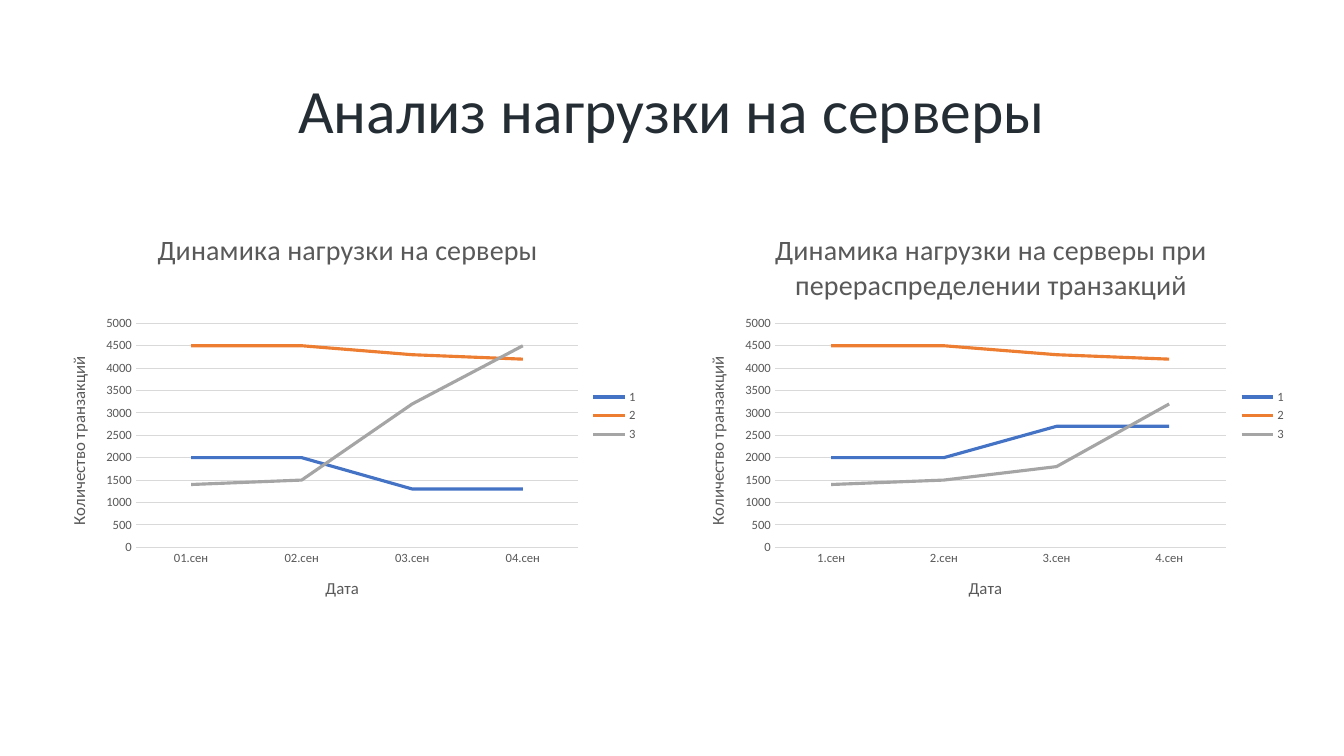
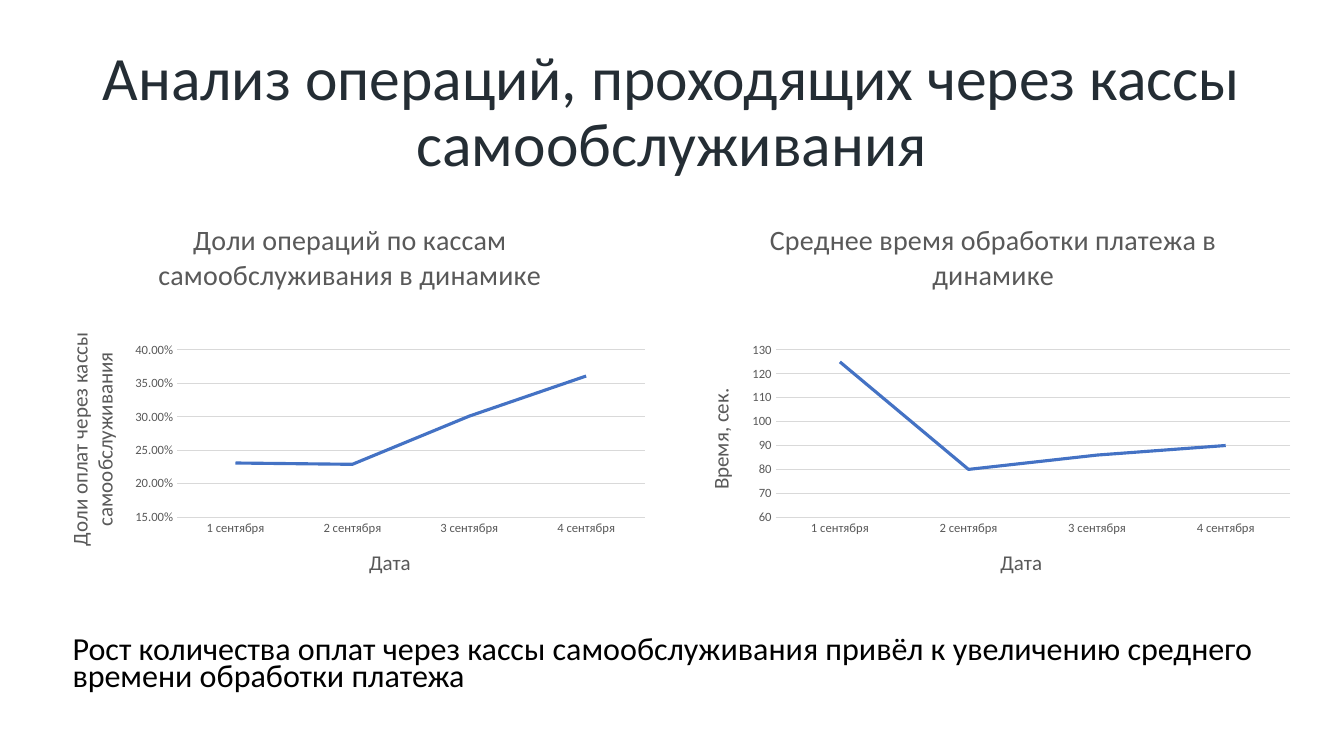
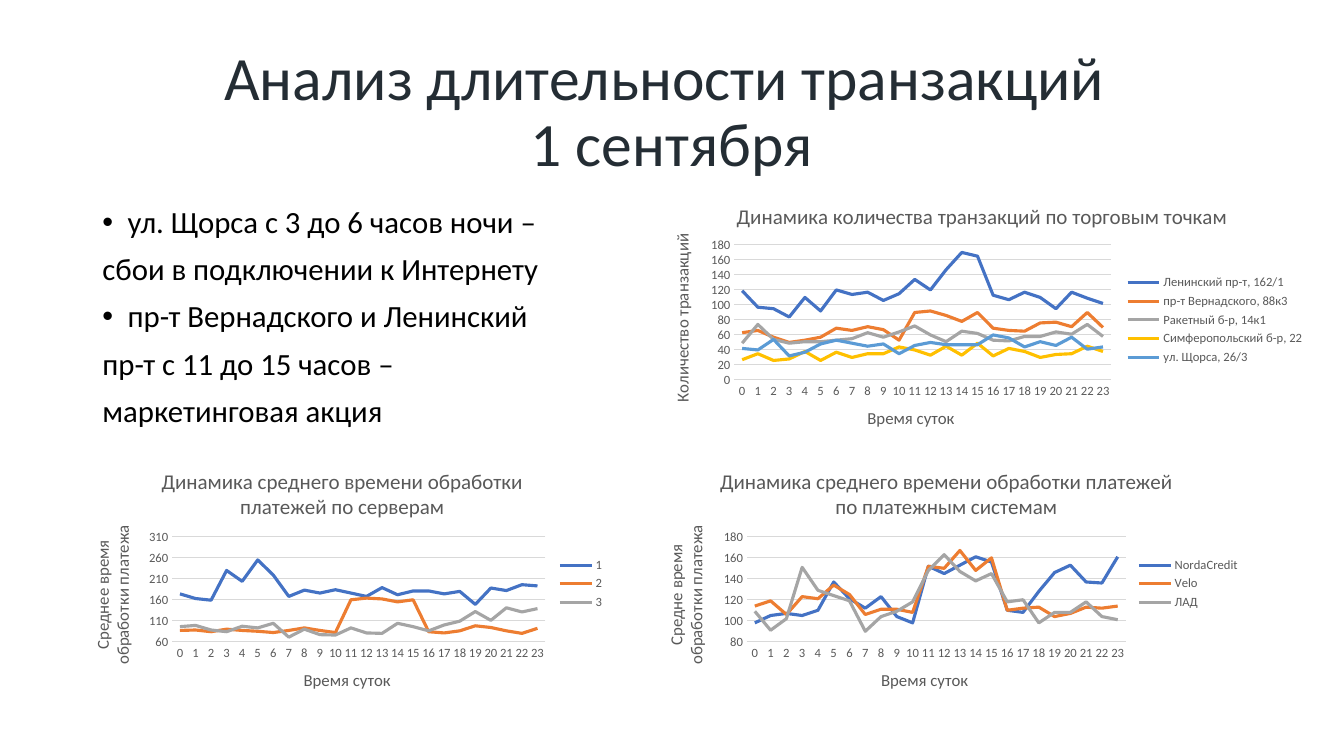
"""Build three slides that analyse server load, self-checkout payments and transaction times."""
from dataclasses import dataclass

from pptx import Presentation
from pptx.chart.data import CategoryChartData as Data
from pptx.dml.color import RGBColor as RGB
from pptx.enum.chart import XL_CHART_TYPE as Kind, XL_LEGEND_POSITION as Side, XL_TICK_MARK as Tick
from pptx.enum.text import MSO_ANCHOR as Anchor, MSO_AUTO_SIZE as Fit, PP_ALIGN as Align
from pptx.oxml import parse_xml
from pptx.oxml.ns import nsdecls, qn
from pptx.util import Pt


@dataclass(frozen=True)
class Theme:
    font: str = "Calibri"
    head: str = "242D34"
    ink: str = "000000"
    grey: str = "595959"
    rule: str = "D9D9D9"
    lines: tuple = ("4472C4", "ED7D31", "A5A5A5", "FFC000", "5B9BD5")
    title: int = 44
    tick: int = 9
    thin: float = 0.75
    thick: float = 2.25


THEME = Theme()
WIDE, HIGH = 960, 540
TITLE_BOX = (66, 29, 828, 104)
DAYS = range(1, 5)
LONG = [f"{day} сентября" for day in DAYS]
HOURS = [str(hour) for hour in range(24)]

LOAD = """
1: 2000 2000 1300 1300
2: 4500 4500 4300 4200
3: 1400 1500 3200 4500
"""
SPREAD = """
1: 2000 2000 2700 2700
2: 4500 4500 4300 4200
3: 1400 1500 1800 3200
"""
SHARE = "Доля: 0.231 0.229 0.301 0.361"
DELAY = "Время: 125 80 86 90"
SHOPS = """
Ленинский пр-т, 162/1: 119 97 95 84 110 92 120 114 117 106 115 134 120 147 170 165 113 107 117 110 95 117 109 102
пр-т Вернадского, 88к3: 63 66 57 50 53 57 69 66 71 67 53 90 92 86 78 90 69 66 65 76 77 71 90 70
Ракетный б-р, 14к1: 49 74 54 49 51 51 53 55 63 57 64 72 60 51 65 62 53 52 58 58 64 61 74 58
Симферопольский б-р, 22: 27 35 26 28 38 26 37 30 35 35 44 40 33 45 33 49 32 42 38 30 34 35 45 38
ул. Щорса, 26/3: 42 40 54 32 37 48 53 49 45 48 35 46 50 47 47 47 60 56 44 51 46 57 41 44
"""
HOSTS = """
1: 174 163 159 230 204 255 219 168 183 176 184 176 168 189 172 181 181 174 180 149 188 182 196 193
2: 87 88 84 90 87 85 82 87 93 87 82 160 164 162 155 160 84 81 86 98 94 86 80 92
3: 96 99 88 84 97 93 104 71 90 77 76 93 81 80 104 96 86 100 109 132 111 141 131 139
"""
CARDS = """
NordaCredit: 98 105 107 105 110 137 121 112 123 104 98 152 145 153 161 156 110 108 128 146 153 137 136 161
Velo: 114 119 106 123 121 134 125 106 111 111 108 152 150 167 148 160 110 112 113 104 107 113 112 114
ЛАД: 109 91 102 151 129 124 119 90 104 109 118 148 163 147 138 145 118 120 98 108 108 118 104 101
"""

SLIDES = [
    {
        "title": "Анализ нагрузки на серверы",
        "sizes": (20, 12), "foot": "Дата",
        "rows": [{
            "band": (151, 292), "plot": (231, 160),
            "charts": [
                {
                    "title": "Динамика нагрузки на серверы",
                    "side": "Количество транзакций",
                    "span": (34, 429), "plot": (97, 316), "min": 0,
                    "cats": [f"0{day}.сен" for day in DAYS], "table": LOAD,
                },
                {
                    "title": "Динамика нагрузки на серверы при перераспределении транзакций",
                    "side": "Количество транзакций",
                    "span": (490, 436), "plot": (553.5, 322), "min": 0,
                    "cats": [f"{day}.сен" for day in DAYS], "table": SPREAD,
                },
            ],
        }],
    },
    {
        "title": "Анализ операций, проходящих через кассы самообслуживания",
        "sizes": (20, 15), "foot": "Дата",
        "body": {
            "box": (44.6, 453, 874, 49), "size": 22.9, "pitch": 0.7,
            "lines": [
                ("Рост количества оплат через кассы самообслуживания привёл "
                 "к увеличению среднего времени обработки платежа", False),
            ],
        },
        "rows": [{
            "band": (144, 284), "plot": (250, 119.5),
            "charts": [
                {
                    "title": "Доли операций по кассам самообслуживания в динамике",
                    "side": "Доли оплат через кассы\nсамообслуживания",
                    "span": (30, 440), "plot": (126.5, 334), "min": 0.15,
                    "format": "0.00%", "cats": LONG, "table": SHARE,
                },
                {
                    "title": "Среднее время обработки платежа в динамике",
                    "side": "Время, сек.",
                    "span": (489, 441), "plot": (554, 367.5), "min": 60,
                    "cats": LONG, "table": DELAY,
                },
            ],
        }],
    },
    {
        "title": "Анализ длительности транзакций \v1 сентября",
        "sizes": (15, 12), "foot": "Время суток",
        "body": {
            "box": (66, 144, 396, 178), "size": 22, "pitch": 0.9,
            "lines": [
                ("ул. Щорса с 3 до 6 часов ночи –", True),
                ("сбои в подключении к Интернету", False),
                ("пр-т Вернадского и Ленинский", True),
                ("пр-т с 11 до 15 часов –", False),
                ("маркетинговая акция", False),
            ],
        },
        "rows": [
            {
                "band": (134, 189), "plot": (175, 96.5),
                "charts": [{
                    "title": "Динамика количества транзакций по торговым точкам",
                    "side": "Количество транзакций",
                    "span": (464, 475), "plot": (524.5, 269), "min": 0,
                    "cats": HOURS, "table": SHOPS,
                }],
            },
            {
                "band": (323, 188), "plot": (383.5, 75),
                "charts": [
                    {
                        "title": "Динамика среднего времени обработки платежей по серверам",
                        "side": "Среднее время\nобработки платежа",
                        "span": (50, 389), "plot": (123, 266.5), "min": 60,
                        "cats": HOURS, "table": HOSTS,
                    },
                    {
                        "title": "Динамика среднего времени обработки платежей по платежным системам",
                        "side": "Средне время\nобработки платежа",
                        "span": (459, 434), "plot": (533.5, 270.5), "min": 80,
                        "cats": HOURS, "table": CARDS,
                    },
                ],
            },
        ],
    },
]


def style(font, size, tint):
    font.name, font.size, font.bold = THEME.font, Pt(size), False
    font.color.rgb = RGB.from_string(tint)


def paint(frame, size, tint):
    for para in frame.paragraphs:
        for run in para.runs:
            style(run.font, size, tint)


def place(shape, box):
    shape.left, shape.top, shape.width, shape.height = map(Pt, box)


def draw_line(line, tint, width):
    line.color.rgb = RGB.from_string(tint)
    line.width = Pt(width)


def add_title(slide, text):
    shape = slide.shapes.title
    place(shape, TITLE_BOX)
    frame = shape.text_frame
    frame.text = text
    frame.auto_size, frame.vertical_anchor = Fit.NONE, Anchor.MIDDLE
    para = frame.paragraphs[0]
    para.alignment, para.line_spacing = Align.CENTER, 0.9
    paint(frame, THEME.title, THEME.head)


def add_body(slide, body):
    shape = slide.placeholders[1]
    place(shape, body["box"])
    frame = shape.text_frame
    frame.text = "\n".join(text for text, _ in body["lines"])
    frame.auto_size, frame.vertical_anchor = Fit.NONE, Anchor.TOP
    for order, (para, (_, dot)) in enumerate(zip(frame.paragraphs, body["lines"])):
        props = para._p.get_or_add_pPr()
        inset = Pt(18) if dot else 0
        props.set("marL", str(inset))
        props.set("indent", str(-inset))
        mark = '<a:buChar %s char="•"/>' if dot else "<a:buNone %s/>"
        props.append(parse_xml(mark % nsdecls("a")))
        para.line_spacing = body["pitch"]
        para.space_before = Pt(10 if order else 0)
        para.alignment = Align.LEFT
    paint(frame, body["size"], THEME.ink)


def pin_plot(chart, area, box):
    part = chart.element.xpath(".//c:plotArea")[0]
    for old in part.findall(qn("c:layout")):
        part.remove(old)
    left, top, width, height = box
    parts = {
        "x": (area[0] - left) / width, "y": (area[1] - top) / height,
        "w": area[2] / width, "h": area[3] / height,
    }
    sizes = "".join(f'<c:{name} val="{val:.4f}"/>' for name, val in parts.items())
    part.insert(0, parse_xml(
        f'<c:layout {nsdecls("c")}><c:manualLayout><c:layoutTarget val="inner"/>'
        f'<c:xMode val="edge"/><c:yMode val="edge"/>{sizes}</c:manualLayout></c:layout>'))


def set_axis(axis, text, size):
    axis.has_title = True
    frame = axis.axis_title.text_frame
    frame.text = text
    paint(frame, size, THEME.grey)
    axis.major_tick_mark = axis.minor_tick_mark = Tick.NONE
    style(axis.tick_labels.font, THEME.tick, THEME.grey)
    return frame


def set_scale(axis, low, form):
    axis.minimum_scale = low
    axis.tick_labels.number_format = form
    axis.tick_labels.number_format_is_linked = False
    axis.has_major_gridlines = True
    draw_line(axis.major_gridlines.format.line, THEME.rule, THEME.thin)
    axis.format.line.fill.background()


def set_legend(chart):
    legend = chart.legend
    legend.position, legend.include_in_layout = Side.RIGHT, False
    style(legend.font, THEME.tick, THEME.grey)


def join(span, band):
    return span[0], band[0], span[1], band[1]


def add_plot(slide, item, row, page):
    form = item.get("format", "General")
    table = item["table"].strip().splitlines()
    data = Data(number_format=form)
    data.categories = item["cats"]
    for line in table:
        name, vals = line.split(": ")
        data.add_series(name, [float(val) for val in vals.split()])
    box = join(item["span"], row["band"])
    chart = slide.shapes.add_chart(Kind.LINE, *map(Pt, box), data).chart
    style(chart.font, 10, THEME.ink)
    head, label = page["sizes"]
    chart.has_title = True
    chart.chart_title.include_in_layout = False
    chart.chart_title.text_frame.text = item["title"]
    paint(chart.chart_title.text_frame, head, THEME.grey)

    set_axis(chart.category_axis, page["foot"], label)
    draw_line(chart.category_axis.format.line, THEME.rule, THEME.thin)
    frame = set_axis(chart.value_axis, item["side"], label)
    turn = frame._txBody.find(qn("a:bodyPr"))
    turn.set("rot", "-5400000")
    turn.set("vert", "horz")
    set_scale(chart.value_axis, item["min"], form)

    chart.plots[0].vary_by_categories = False
    for line, tint in zip(chart.plots[0].series, THEME.lines):
        line.smooth = False
        draw_line(line.format.line, tint, THEME.thick)
    chart.has_legend = len(table) > 1
    if chart.has_legend:
        set_legend(chart)
    pin_plot(chart, join(item["plot"], row["plot"]), box)


def main():
    deck = Presentation()
    deck.slide_width, deck.slide_height = Pt(WIDE), Pt(HIGH)
    for page in SLIDES:
        slide = deck.slides.add_slide(deck.slide_layouts[1 if "body" in page else 5])
        add_title(slide, page["title"])
        if "body" in page:
            add_body(slide, page["body"])
        for row in page["rows"]:
            for item in row["charts"]:
                add_plot(slide, item, row, page)
    deck.save("out.pptx")


if __name__ == "__main__":
    main()
